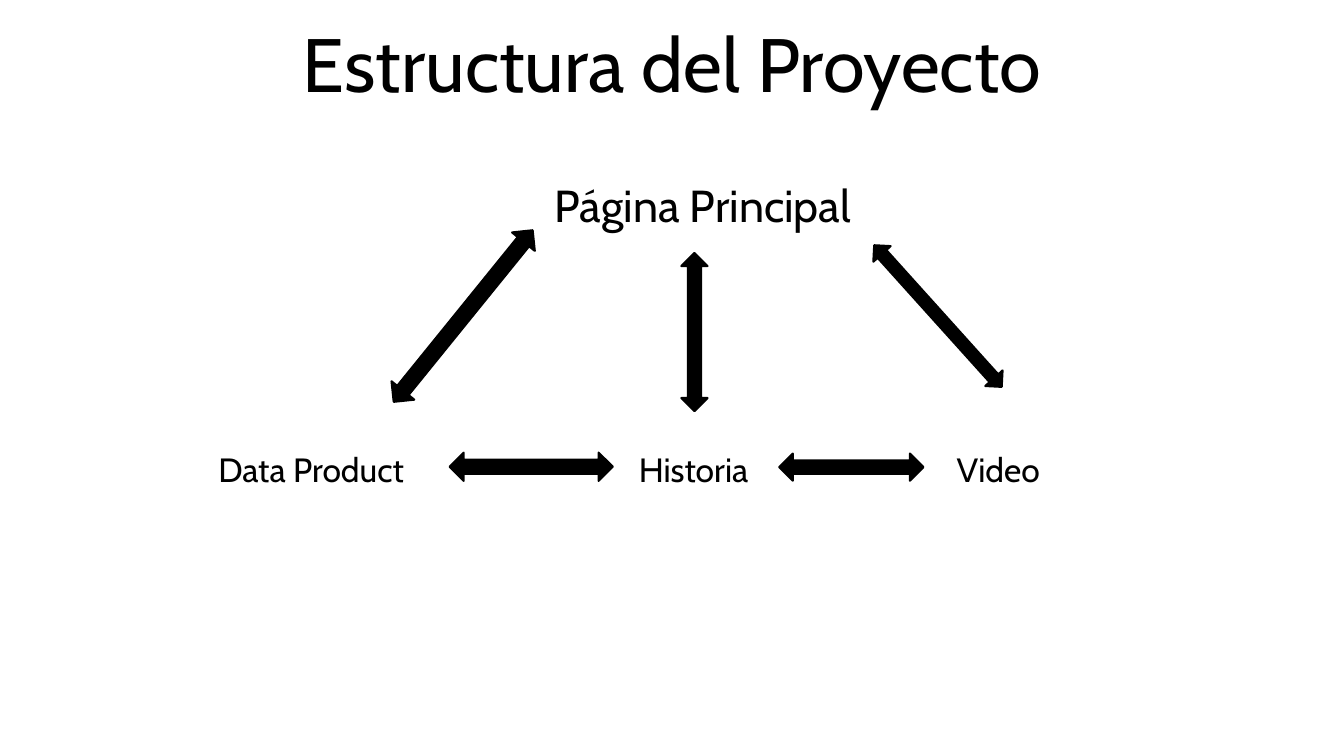
"""Build the project structure slide: a main page linked to three sections."""
import pptx
import pptx.dml.color
import pptx.enum.shapes
import pptx.enum.text
import pptx.util

Pt = pptx.util.Pt
ARROWS = pptx.enum.shapes.MSO_SHAPE
TEXT = pptx.enum.text

THEME = {
    "font": "Cabin",
    "ink": pptx.dml.color.RGBColor(0, 0, 0),
    "title": Pt(54),
    "main page": Pt(32),
    "section": Pt(24),
    "outline": Pt(1.5),
}


def write(frame, text, size, **paragraph_format):
    """Put one formatted paragraph into a text frame."""
    frame.text = text
    paragraph = frame.paragraphs[0]
    for name, value in paragraph_format.items():
        setattr(paragraph, name, value)
    font = paragraph.runs[0].font
    for name, value in {"name": THEME["font"], "size": THEME[size]}.items():
        setattr(font, name, value)
    font.color.rgb = THEME["ink"]


presentation = pptx.Presentation()
presentation.slide_width, presentation.slide_height = Pt(960), Pt(540)
slide = presentation.slides.add_slide(presentation.slide_layouts[5])

heading = slide.shapes.title
for name, value in {"left": 120, "top": 10.8, "width": 720, "height": 70.56}.items():
    setattr(heading, name, Pt(value))
write(heading.text_frame, "Estructura del Proyecto", "title",
      alignment=TEXT.PP_ALIGN.CENTER, line_spacing=0.9)
for name, value in {"vertical_anchor": TEXT.MSO_ANCHOR.BOTTOM,
                    "auto_size": TEXT.MSO_AUTO_SIZE.NONE, "word_wrap": True}.items():
    setattr(heading.text_frame, name, value)

pages = [
    ("Página Principal", "main page", 295.2, 123.1, 381.6, 46.1, 101.2),
    ("Data Product", "section", 126.7, 316.8, 188.6, 36, 29.2),
    ("Historia", "section", 411.1, 316.8, 158.4, 36, 45.2),
    ("Video", "section", 660.2, 316.8, 151.2, 36, 23.2),
]
for label, size, left, top, width, height, inset in pages:
    page = slide.shapes.add_textbox(Pt(left), Pt(top), Pt(width), Pt(height))
    for name, value in {"word_wrap": True, "margin_left": Pt(inset),
                        "auto_size": TEXT.MSO_AUTO_SIZE.SHAPE_TO_FIT_TEXT}.items():
        setattr(page.text_frame, name, value)
    write(page.text_frame, label, size, alignment=TEXT.PP_ALIGN.LEFT)

links = [
    (ARROWS.LEFT_RIGHT_ARROW, 252, 215.3, 157.7, 20.9, 309),
    (ARROWS.UP_DOWN_ARROW, 661.7, 157.7, 16.6, 136.1, 318),
    (ARROWS.UP_DOWN_ARROW, 486.7, 180.7, 18.7, 113, 0),
    (ARROWS.LEFT_RIGHT_ARROW, 321.1, 323.3, 116.6, 20.2, 0),
    (ARROWS.LEFT_RIGHT_ARROW, 556.6, 324, 103, 19.4, 0),
]
for direction, left, top, width, height, rotation in links:
    link = slide.shapes.add_shape(direction, Pt(left), Pt(top), Pt(width), Pt(height))
    link.rotation = rotation
    link.shadow.inherit = False
    link.fill.solid()
    link.fill.fore_color.rgb = THEME["ink"]
    link.line.color.rgb = THEME["ink"]
    link.line.width = THEME["outline"]

presentation.save("out.pptx")
